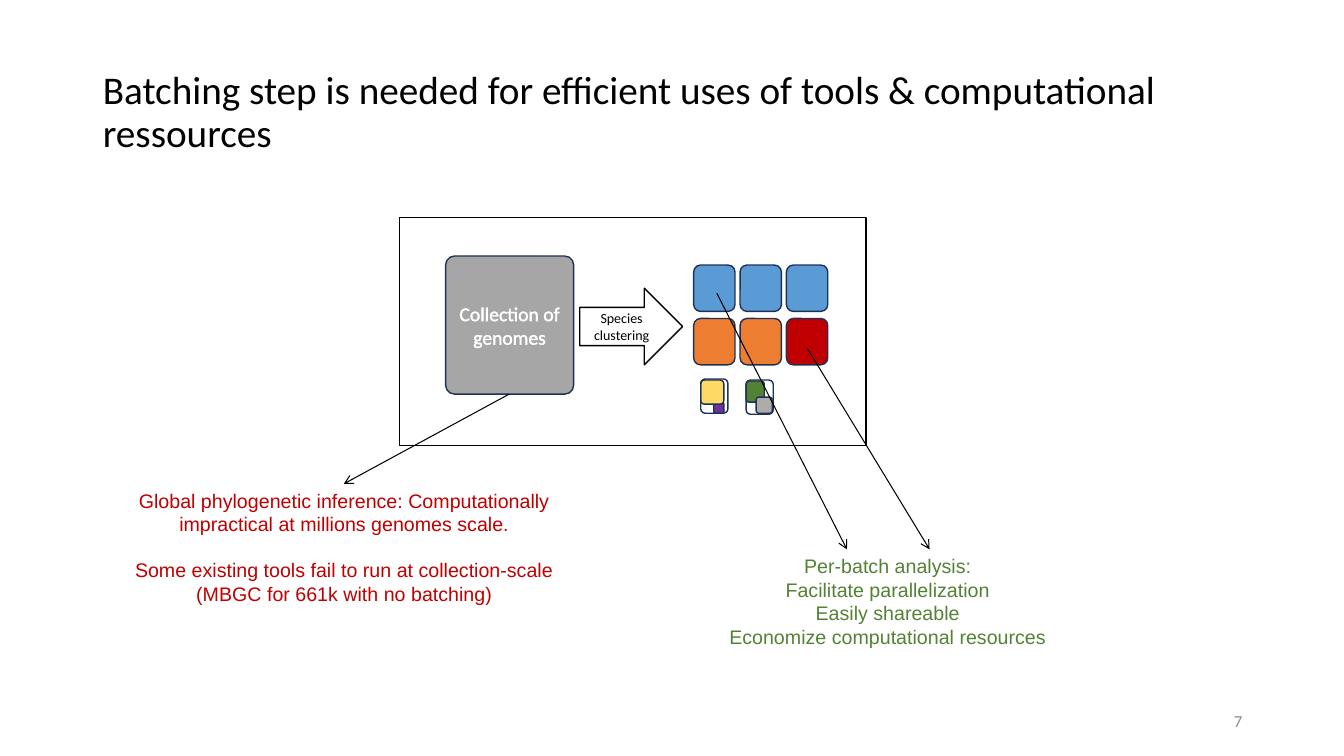
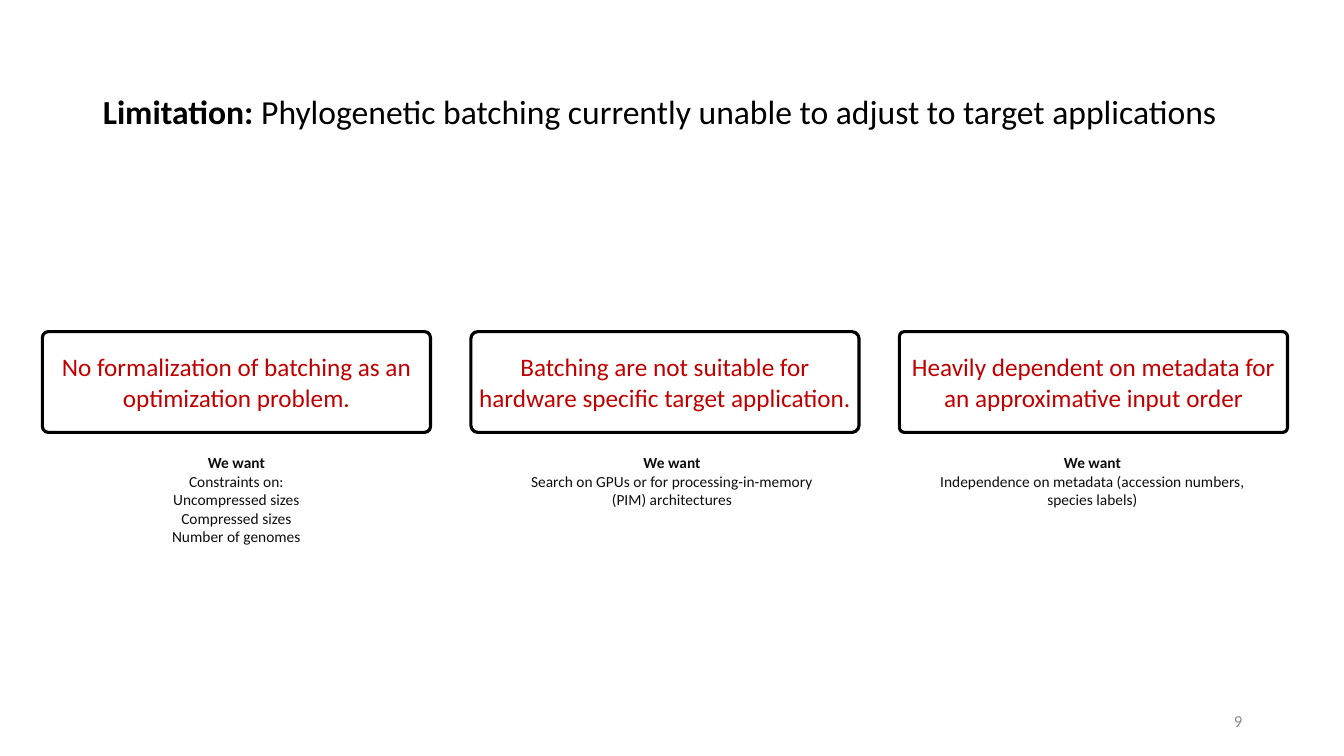
from dataclasses import dataclass

from lxml import etree
from pptx import Presentation
from pptx import util as u
from pptx.dml import color as dml
from pptx.enum import shapes, text
from pptx.oxml import ns
from pptx.shapes.autoshape import Shape
from pptx.slide import Slide
from pptx.text.text import TextFrame

PX = 9144
BLACK, WHITE, RED, GREEN = "000000", "FFFFFF", "C00000", "548235"
NAVY, BLUE, ORANGE, GREY = "1E3256", "5B9BD5", "ED7D31", "A6A6A6"
YELLOW, PURPLE, SILVER = "FFD966", "7030A0", "AFABAB"
INK, NUMBER_GREY = "0D0D0D", "8C8C8C"

ROUNDED = shapes.MSO_SHAPE.ROUNDED_RECTANGLE
LEFT, CENTER, RIGHT = text.PP_ALIGN.LEFT, text.PP_ALIGN.CENTER, text.PP_ALIGN.RIGHT
MIDDLE, TOP = text.MSO_ANCHOR.MIDDLE, text.MSO_ANCHOR.TOP


@dataclass(frozen=True)
class Box:
    left: int
    top: int
    width: int
    height: int

    def emu(self) -> tuple[int, int, int, int]:
        return self.left * PX, self.top * PX, self.width * PX, self.height * PX


@dataclass(frozen=True)
class Style:
    size: int
    color: str
    font: str = "Calibri"
    align: text.PP_ALIGN = CENTER


@dataclass(frozen=True)
class Tile:
    box: Box
    fill: str | None


@dataclass(frozen=True)
class Arrow:
    start: tuple[int, int]
    end: tuple[int, int]


@dataclass(frozen=True)
class Limitation:
    statement: str
    radius: float
    caption_left: int
    wishes: tuple[str, ...]


NOTE_RED = Style(14, RED, "Arial")
NOTE_GREEN = Style(14, GREEN, "Arial")
STATEMENT = Style(18, RED)
WISH = Style(11, INK)
PAGE_NUMBER = Style(12, NUMBER_GREY, align=RIGHT)

TITLE_BOX = Box(92, 40, 1150, 145)
NUMBER_BOX = Box(942, 695, 300, 40)

TILE_COLORS = ((BLUE, BLUE, BLUE), (ORANGE, ORANGE, RED))
BATCHES = [
    Tile(Box(688 + 46 * column, 263 + 53 * row, 41, 46), fill)
    for row, fills in enumerate(TILE_COLORS)
    for column, fill in enumerate(fills)
]
MIXED_BATCHES = [
    Tile(Box(708, 399, 10, 11), PURPLE),
    Tile(Box(695, 377, 23, 24), YELLOW),
    Tile(Box(695, 376, 27, 34), None),
    Tile(Box(740, 378, 18, 21), GREEN),
    Tile(Box(740, 377, 27, 34), None),
    Tile(Box(750, 394, 16, 16), SILVER),
]
ARROWS = [
    Arrow((505, 391), (341, 480)),
    Arrow((711, 291), (840, 545)),
    Arrow((801, 346), (922, 545)),
]
LIMITATIONS = [
    Limitation(
        "No formalization of batching as an optimization problem.", 0.06, 68,
        ("Constraints on:", "Uncompressed sizes", "Compressed sizes", "Number of genomes"),
    ),
    Limitation(
        "Batching are not suitable for hardware specific target application.", 0.07, 500,
        ("Search on GPUs or for processing-in-memory (PIM) architectures",),
    ),
    Limitation(
        "Heavily dependent on metadata for an approximative input order", 0.05, 917,
        ("Independence on metadata (accession numbers, species labels)",),
    ),
]


def rgb(value: str) -> dml.RGBColor:
    return dml.RGBColor.from_string(value)


def write(frame: TextFrame, lines: list[str], style: Style, anchor: text.MSO_ANCHOR = MIDDLE) -> None:
    frame.word_wrap = True
    frame.vertical_anchor = anchor
    for index, line in enumerate(lines):
        paragraph = frame.paragraphs[0] if index == 0 else frame.add_paragraph()
        paragraph.alignment = style.align
        paragraph.font.size = u.Pt(style.size)
        paragraph.font.name = style.font
        paragraph.font.color.rgb = rgb(style.color)
        paragraph.add_run().text = line


def add_text(slide: Slide, box: Box, lines: list[str], style: Style,
             anchor: text.MSO_ANCHOR = TOP) -> TextFrame:
    frame = slide.shapes.add_textbox(*box.emu()).text_frame
    write(frame, lines, style, anchor)
    return frame


def add_box(slide: Slide, kind: shapes.MSO_SHAPE, box: Box, fill: str | None,
            line: str = NAVY, weight: float = 1, radius: float | None = None) -> Shape:
    shape = slide.shapes.add_shape(kind, *box.emu())
    shape.shadow.inherit = False
    if fill:
        shape.fill.solid()
        shape.fill.fore_color.rgb = rgb(fill)
    else:
        shape.fill.background()
    shape.line.color.rgb = rgb(line)
    shape.line.width = u.Pt(weight)
    if radius is not None:
        shape.adjustments[0] = radius
    shape.text_frame.margin_left = shape.text_frame.margin_right = 6 * PX
    return shape


def add_arrow(slide: Slide, arrow: Arrow) -> None:
    points = [value * PX for value in (*arrow.start, *arrow.end)]
    connector = slide.shapes.add_connector(shapes.MSO_CONNECTOR.STRAIGHT, *points)
    connector.line.color.rgb = rgb(BLACK)
    connector.line.width = u.Pt(0.75)
    properties = connector._element.spPr
    etree.SubElement(properties.find(ns.qn("a:ln")), ns.qn("a:tailEnd"), type="arrow")
    etree.SubElement(properties, ns.qn("a:effectLst"))


def outline_text(frame: TextFrame, color: str) -> None:
    for run in frame.paragraphs[0].runs:
        line = etree.SubElement(run._r.get_or_add_rPr(), ns.qn("a:ln"), w=str(u.Pt(0.75)))
        fill = etree.SubElement(line, ns.qn("a:solidFill"))
        etree.SubElement(fill, ns.qn("a:srgbClr"), val=color)


def add_slide(presentation: Presentation, title: str, size: int, number: int, lead: str = "") -> Slide:
    slide = presentation.slides.add_slide(presentation.slide_layouts[5])
    shape = slide.shapes.title
    shape.left, shape.top, shape.width, shape.height = TITLE_BOX.emu()
    frame = shape.text_frame
    write(frame, [lead or title], Style(size, BLACK, align=LEFT))
    frame.auto_size = text.MSO_AUTO_SIZE.NONE
    paragraph = frame.paragraphs[0]
    paragraph.line_spacing = 0.9
    if lead:
        paragraph.runs[0].font.bold = True
        paragraph.add_run().text = title
    add_text(slide, NUMBER_BOX, [str(number)], PAGE_NUMBER, MIDDLE)
    return slide


def build_batching(presentation: Presentation) -> None:
    slide = add_slide(
        presentation,
        "Batching step is needed for efficient uses of tools & computational ressources", 28, 7,
    )
    for tile in BATCHES + MIXED_BATCHES:
        add_box(slide, ROUNDED, tile.box, tile.fill)

    collection = add_box(slide, ROUNDED, Box(442, 254, 127, 137), GREY, radius=0.07)
    write(collection.text_frame, ["Collection of genomes"], Style(14, WHITE))
    outline_text(collection.text_frame, WHITE)

    clustering = add_box(slide, shapes.MSO_SHAPE.RIGHT_ARROW, Box(575, 286, 102, 76), WHITE, BLACK)
    write(clustering.text_frame, ["Species clustering"], Style(10, BLACK))
    add_box(slide, shapes.MSO_SHAPE.RECTANGLE, Box(396, 216, 463, 226), None, BLACK)

    for arrow in ARROWS:
        add_arrow(slide, arrow)

    drawbacks = add_text(slide, Box(108, 480, 467, 128), [
        "Global phylogenetic inference: Computationally impractical at millions genomes scale.",
        "Some existing tools fail to run at collection-scale",
        "(MBGC for 661k with no batching)",
    ], NOTE_RED)
    drawbacks.paragraphs[1].space_before = u.Pt(16)
    add_text(slide, Box(647, 545, 467, 104), [
        "Per-batch analysis:",
        "Facilitate parallelization",
        "Easily shareable",
        "Economize computational resources",
    ], NOTE_GREEN)


def build_limitations(presentation: Presentation) -> None:
    slide = add_slide(
        presentation,
        "Phylogenetic batching currently unable to adjust to target applications", 24, 9,
        lead="Limitation: ",
    )
    for index, limitation in enumerate(LIMITATIONS):
        card = add_box(slide, ROUNDED, Box(42 + 425 * index, 329, 385, 100),
                       WHITE, BLACK, 2.25, limitation.radius)
        write(card.text_frame, [limitation.statement], STATEMENT)
        caption = add_text(slide, Box(limitation.caption_left, 445, 333, 66),
                           ["We want", *limitation.wishes], WISH)
        caption.auto_size = text.MSO_AUTO_SIZE.SHAPE_TO_FIT_TEXT
        caption.paragraphs[0].font.bold = True


def main() -> None:
    presentation = Presentation()
    presentation.slide_width = 1333 * PX
    presentation.slide_height = 750 * PX
    build_batching(presentation)
    build_limitations(presentation)
    presentation.save("out.pptx")


if __name__ == "__main__":
    main()
